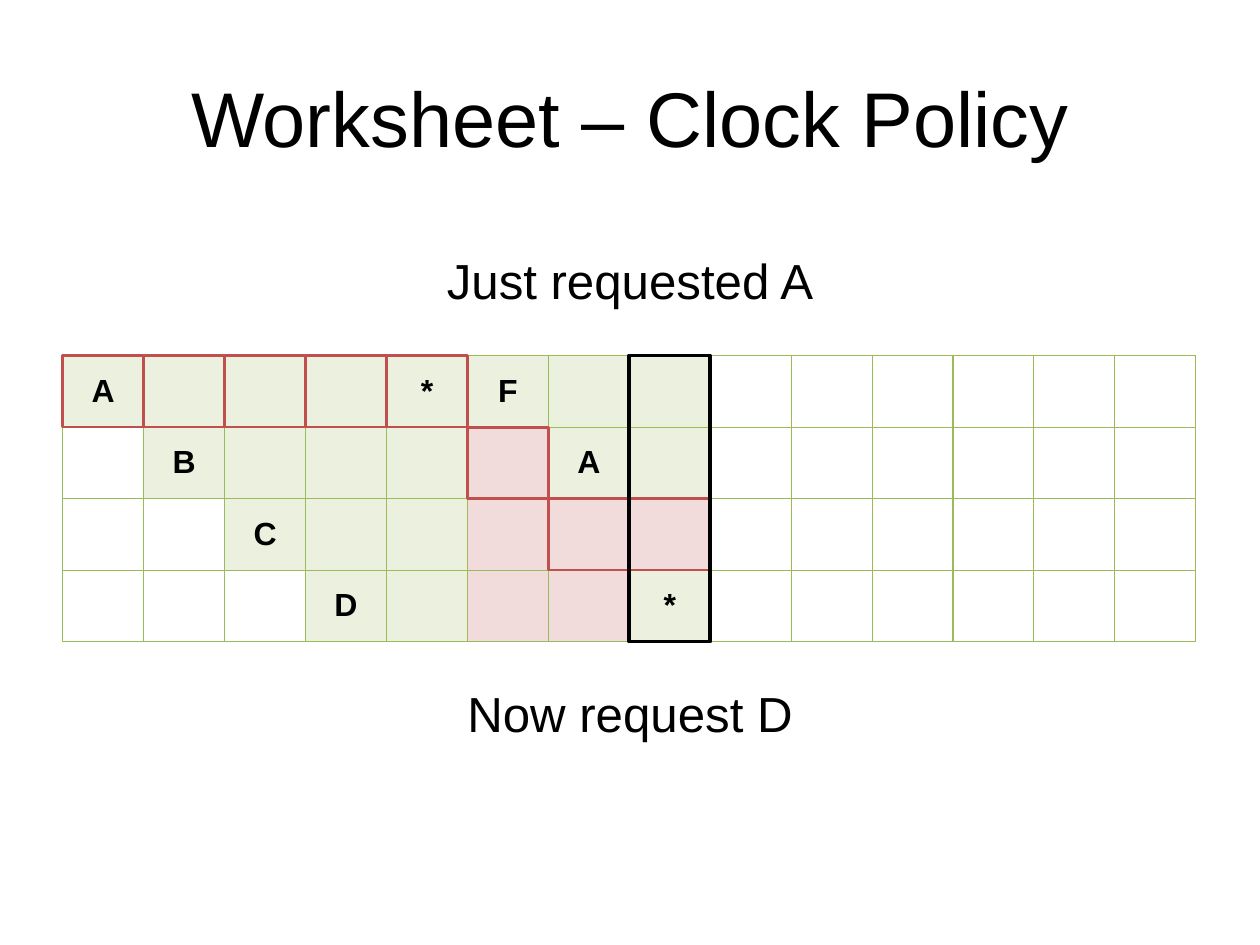
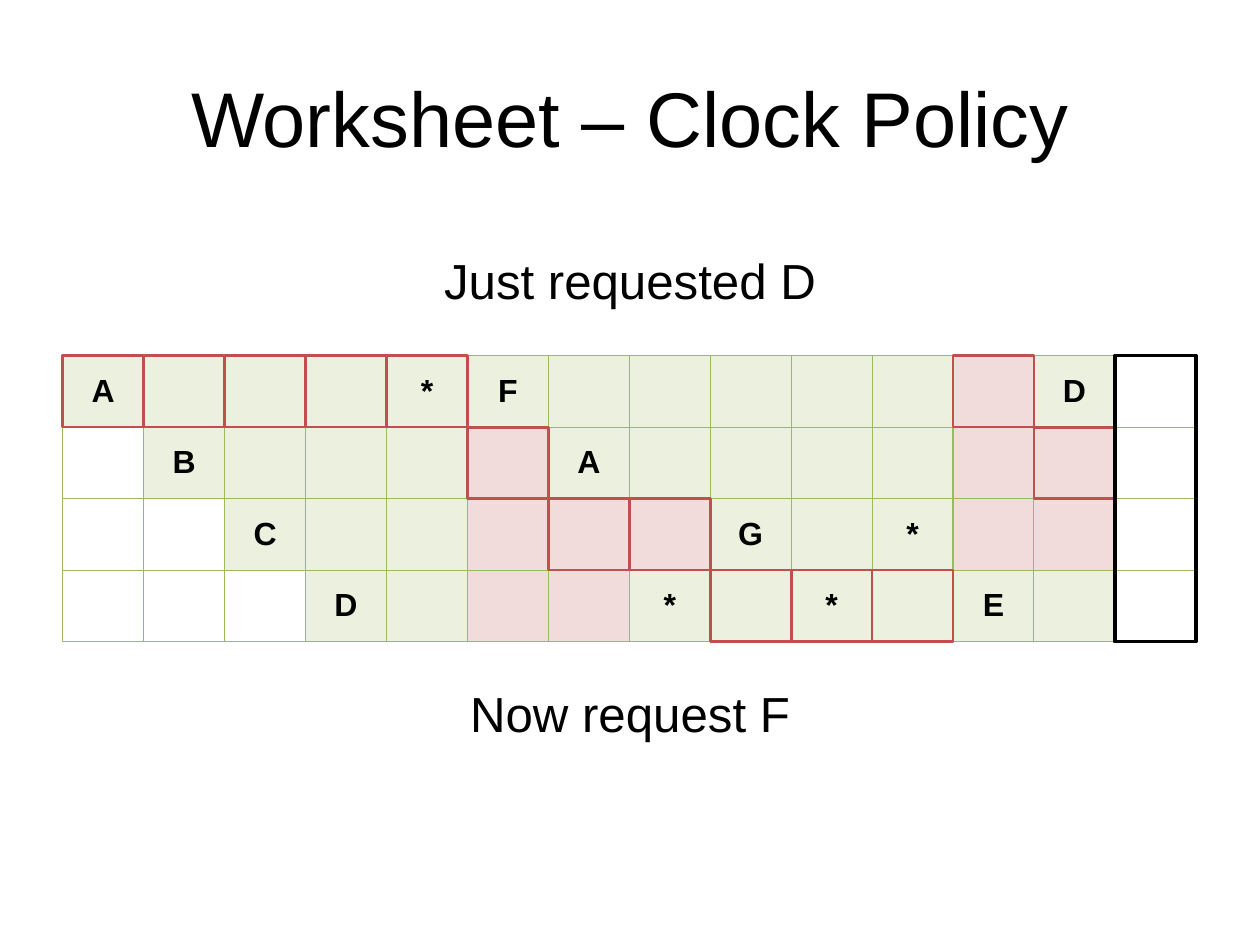
from dataclasses import dataclass

from lxml.etree import SubElement
from pptx import Presentation
from pptx.dml.color import RGBColor
from pptx.enum.shapes import MSO_SHAPE as Shape
from pptx.enum.text import MSO_ANCHOR as Anchor, MSO_AUTO_SIZE as AutoSize, PP_ALIGN as Align
from pptx.oxml.ns import qn
from pptx.util import Cm, Pt


@dataclass(frozen=True)
class Theme:
    font: str = "Arial"
    title_size: float = 63
    caption_size: float = 40
    cell_size: float = 26
    text: str = "000000"
    held: str = "EBF1DE"
    cleared: str = "F2DCDB"
    unused: str = "FFFFFF"
    grid: str = "9BBB59"
    hand: str = "C0504D"
    current: str = "000000"


THEME = Theme()
PAGE_WIDTH, PAGE_HEIGHT = 36.12, 27.1
GRID_LEFT, GRID_TOP = 1.8, 10.2
COLUMN_WIDTH, ROW_HEIGHT = 2.32, 2.05
CAPTION_HEIGHT = 1.95

# Cells: "." holds its page, "x" has its use bit cleared, "_" is unused.
# Any other sign is text in a held cell.
# hand_rows gives the row of the clock hand, column by column.
WORKSHEETS = [
    {
        "rows": ["A...*F..______",
                 "_B...xA.______",
                 "__C..xxx______",
                 "___D.xx*______"],
        "hand_rows": [0, 0, 0, 0, 0, 1, 2, 2],
        "current_column": 7,
        "captions": ["Just requested A", "Now request D"],
    },
    {
        "rows": ["A...*F.....xD_",
                 "_B...xA....xx_",
                 "__C..xxxG.*xx_",
                 "___D.xx*.*.E._"],
        "hand_rows": [0, 0, 0, 0, 0, 1, 2, 2, 3, 3, 3, 0, 1],
        "current_column": 13,
        "captions": ["Just requested D", "Now request F"],
    },
]
CAPTION_PLACES = [(7.06, 11.4), (19.46, 10)]  # top, width
CELL_FILLS = {"x": THEME.cleared, "_": THEME.unused}


def write_text(frame, text, size, bold=False, anchor=Anchor.MIDDLE):
    frame.vertical_anchor = anchor
    para = frame.paragraphs[0]
    para.alignment = Align.CENTER
    span = para.add_run()
    span.text = text
    span.font.name = THEME.font
    span.font.size = Pt(size)
    span.font.bold = bold
    span.font.color.rgb = RGBColor.from_string(THEME.text)


def add_frame(page, row, column, row_count, color, weight):
    """Outline row_count cells of one column, from the given row down."""
    box = page.shapes.add_shape(
        Shape.RECTANGLE,
        Cm(GRID_LEFT + column * COLUMN_WIDTH), Cm(GRID_TOP + row * ROW_HEIGHT),
        Cm(COLUMN_WIDTH), Cm(row_count * ROW_HEIGHT))
    box.shadow.inherit = False
    box.fill.background()
    box.line.color.rgb = RGBColor.from_string(color)
    box.line.width = Pt(weight)


deck = Presentation()
deck.slide_width, deck.slide_height = Cm(PAGE_WIDTH), Cm(PAGE_HEIGHT)
layout = deck.slide_layouts[5]
title_area = layout.placeholders[0]
title_area.left, title_area.top = Cm(GRID_LEFT), Cm(1.09)
title_area.width, title_area.height = Cm(32.51), Cm(4.52)

for worksheet in WORKSHEETS:
    page = deck.slides.add_slide(layout)
    title_frame = page.shapes.title.text_frame
    title_frame.auto_size = AutoSize.NONE
    write_text(title_frame, "Worksheet – Clock Policy", size=THEME.title_size)

    rows = worksheet["rows"]
    row_count, column_count = len(rows), len(rows[0])
    table = page.shapes.add_table(
        row_count, column_count, Cm(GRID_LEFT), Cm(GRID_TOP),
        Cm(column_count * COLUMN_WIDTH), Cm(row_count * ROW_HEIGHT)).table
    table.first_row = table.horz_banding = False
    for column in table.columns:
        column.width = Cm(COLUMN_WIDTH)
    for row_index, signs in enumerate(rows):
        table.rows[row_index].height = Cm(ROW_HEIGHT)
        for column_index, sign in enumerate(signs):
            cell = table.cell(row_index, column_index)
            if sign not in ".x_":
                write_text(cell.text_frame, sign, size=THEME.cell_size, bold=True)
                cell.vertical_anchor = Anchor.MIDDLE
            properties = cell._tc.get_or_add_tcPr()
            for side in ("a:lnL", "a:lnR", "a:lnT", "a:lnB"):
                border = SubElement(properties, qn(side), w=str(Pt(1)))
                border_fill = SubElement(border, qn("a:solidFill"))
                SubElement(border_fill, qn("a:srgbClr"), val=THEME.grid)
            cell.fill.solid()
            cell.fill.fore_color.rgb = RGBColor.from_string(CELL_FILLS.get(sign, THEME.held))

    for column_index, row_index in enumerate(worksheet["hand_rows"]):
        add_frame(page, row_index, column_index, 1, THEME.hand, 2.25)
    add_frame(page, 0, worksheet["current_column"], row_count, THEME.current, 3)

    for caption, (top, width) in zip(worksheet["captions"], CAPTION_PLACES):
        box = page.shapes.add_textbox(
            Cm((PAGE_WIDTH - width) / 2), Cm(top), Cm(width), Cm(CAPTION_HEIGHT))
        box.text_frame.word_wrap = False
        box.text_frame.auto_size = AutoSize.SHAPE_TO_FIT_TEXT
        write_text(box.text_frame, caption, size=THEME.caption_size, anchor=Anchor.TOP)

deck.save("out.pptx")
